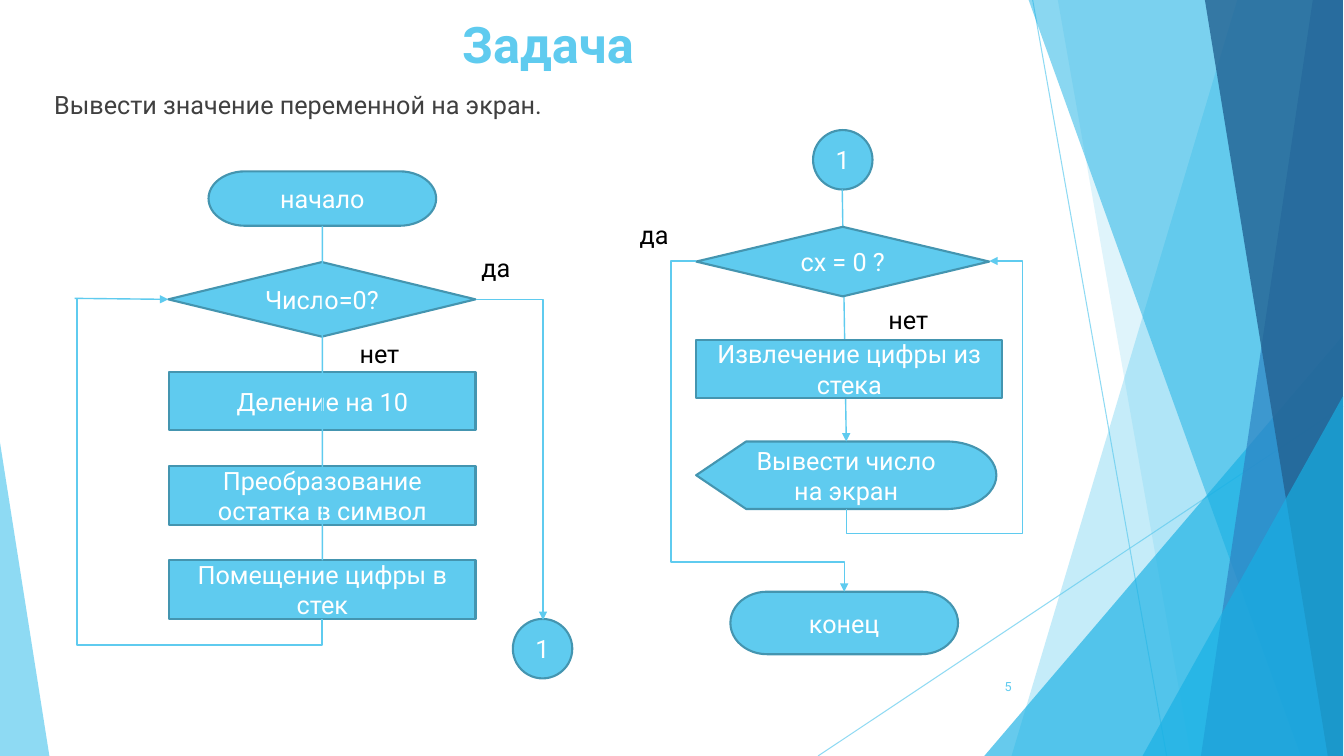
from typing import NamedTuple

from lxml.etree import SubElement
from pptx import Presentation
from pptx.dml.color import RGBColor
from pptx.enum.shapes import MSO_CONNECTOR as CONN, MSO_SHAPE as SHAPE
from pptx.enum.text import MSO_ANCHOR as ANCHOR, MSO_AUTO_SIZE as AUTO, PP_ALIGN as ALIGN
from pptx.oxml.ns import qn
from pptx.util import Inches, Pt

WIDTH, HEIGHT = 13.34, 7.5
EDGE = 13.33
SKY, AZURE, BLUE, NAVY = "5FCBEF", "17B0E4", "2E83C3", "236292"
OUTLINE, WHITE, BLACK, GREY = "4495B0", "FFFFFF", "000000", "404040"


class Band(NamedTuple):
    """Sloping band from its left edge to the right side of the slide."""
    top_x: float
    bottom_x: float
    color: str
    alpha: int


class Triangle(NamedTuple):
    box: tuple[float, float, float, float]
    apex: float
    color: str
    alpha: int


class Node(NamedTuple):
    kind: SHAPE
    box: tuple[float, float, float, float]
    text: str


class Label(NamedTuple):
    box: tuple[float, float, float, float]
    text: str


class Elbow(NamedTuple):
    """Bent connector; the box is its frame before rotation."""
    preset: str
    box: tuple[float, float, float, float]
    rot: int
    flips: str
    adjust: tuple[float, ...]
    arrow: bool


BACK_BANDS = [Band(12.28, 10.04, SKY, 36), Band(10.5, 11.82, SKY, 20)]
FRONT_BANDS = [Band(10.21, 12.91, AZURE, 50), Band(13.03, 11.92, BLUE, 70),
               Band(11.96, 13.18, NAVY, 80)]
MIDDLE_TRIANGLE = Triangle((9.77, 3.33, 3.56, 4.17), 1, AZURE, 66)
FRONT_TRIANGLES = [Triangle((11.34, 3.93, 1.99, 3.57), 1, AZURE, 66),
                   Triangle((0, 4.39, 0.49, 3.11), 0, SKY, 70)]

STEPS = ["Деление на 10", "Преобразование остатка в символ", "Помещение цифры в стек"]
START = Node(SHAPE.FLOWCHART_TERMINATOR, (2.07, 1.7, 2.26, 0.54), "начало")
IS_ZERO = Node(SHAPE.FLOWCHART_DECISION, (1.67, 2.6, 3.05, 0.74), "Число=0?")
LEFT_JUMP = Node(SHAPE.FLOWCHART_CONNECTOR, (5.09, 6.14, 0.59, 0.59), "1")
RIGHT_JUMP = Node(SHAPE.FLOWCHART_CONNECTOR, (8.07, 1.29, 0.59, 0.59), "1")
PRINT = Node(SHAPE.FLOWCHART_DISPLAY, (6.91, 4.38, 2.98, 0.67), "Вывести число на экран")
RIGHT_NODES = [
    Node(SHAPE.FLOWCHART_PROCESS, (6.91, 3.37, 3.04, 0.58), "Извлечение цифры из стека"),
    Node(SHAPE.FLOWCHART_DECISION, (6.91, 2.25, 2.91, 0.69), "cx = 0 ?"),
    Node(SHAPE.FLOWCHART_TERMINATOR, (7.25, 5.87, 2.26, 0.62), "конец"),
]
LABELS = [Label((3.47, 3.31, 0.91, 0.4), "нет"), Label((4.68, 2.45, 0.91, 0.4), "да"),
          Label((8.72, 2.97, 1.23, 0.4), "нет"), Label((6.25, 2.13, 0.71, 0.4), "да")]
ELBOWS = [
    Elbow("bentConnector3", (0.39, 3.34, 3.18, 2.43), 270, "V", (-0.08,), False),
    Elbow("bentConnector2", (4.72, 2.97, 0.67, 3.18), 0, "", (), True),
    Elbow("bentConnector4", (7.88, 3.11, 2.46, 1.42), 90, "HV", (-0.1, 1.23), True),
    Elbow("bentConnector4", (6.91, 2.59, 1.47, 3.28), 180, "HV", (-0.17, 0.91), True),
]


def paint(fmt, color: str, alpha: int = 100) -> None:
    """Apply a solid colour to a fill."""
    fmt.solid()
    fmt.fore_color.rgb = RGBColor.from_string(color)
    if alpha < 100:
        clr = fmt._xPr.find(qn("a:solidFill"))[0]
        SubElement(clr, qn("a:alpha"), val=str(alpha * 1000))


def write(shape, text: str, color: str, size: float = 18, align=ALIGN.LEFT,
          anchor=ANCHOR.TOP, bold: bool = False) -> None:
    tf = shape.text_frame
    frame = {"word_wrap": True, "auto_size": AUTO.NONE, "vertical_anchor": anchor,
             "margin_left": Inches(0.1), "margin_right": Inches(0.1),
             "margin_top": Inches(0.05), "margin_bottom": Inches(0.05)}
    for name, value in frame.items():
        setattr(tf, name, value)
    p = tf.paragraphs[0]
    p.alignment = align
    r = p.add_run()
    r.text = text
    for name, value in {"name": "Roboto", "size": Pt(size), "bold": bold}.items():
        setattr(r.font, name, value)
    r.font.color.rgb = RGBColor.from_string(color)


def add_text(s, box, text: str, color: str, **style):
    write(s.shapes.add_textbox(*map(Inches, box)), text, color, **style)


def add_band(s, band: Band) -> None:
    fb = s.shapes.build_freeform(Inches(band.top_x), 0)
    corners = [(EDGE, 0), (EDGE, HEIGHT), (band.bottom_x, HEIGHT)]
    fb.add_line_segments([(Inches(x), Inches(y)) for x, y in corners], close=True)
    sp = fb.convert_to_shape()
    sp.shadow.inherit = False
    paint(sp.fill, band.color, band.alpha)
    sp.line.fill.background()


def add_triangle(s, tri: Triangle) -> None:
    sp = s.shapes.add_shape(SHAPE.ISOSCELES_TRIANGLE, *map(Inches, tri.box))
    sp.adjustments[0] = tri.apex
    sp.shadow.inherit = False
    paint(sp.fill, tri.color, tri.alpha)
    sp.line.fill.background()


def add_node(s, node: Node):
    sp = s.shapes.add_shape(node.kind, *map(Inches, node.box))
    sp.shadow.inherit = False
    paint(sp.fill, SKY)
    paint(sp.line.fill, OUTLINE)
    sp.line.width = Pt(1.5)
    write(sp, node.text, WHITE, align=ALIGN.CENTER, anchor=ANCHOR.MIDDLE)
    return sp


def add_line(s, start, end, kind=CONN.STRAIGHT, width: float = 1, alpha: int = 100,
             arrow: bool = False):
    cx = s.shapes.add_connector(kind, *map(Inches, (*start, *end)))
    paint(cx.line.fill, SKY, alpha)
    cx.line.width = Pt(width)
    if arrow:
        SubElement(cx.line._get_or_add_ln(), qn("a:tailEnd"), type="triangle")
    SubElement(cx._element.spPr, qn("a:effectLst"))
    return cx


def add_elbow(s, elbow: Elbow) -> None:
    x, y, w, h = elbow.box
    cx = add_line(s, (x, y), (x + w, y + h), CONN.ELBOW, arrow=elbow.arrow)
    xfrm = cx._element.spPr.find(qn("a:xfrm"))
    xfrm.set("rot", str(elbow.rot * 60000))
    for axis in elbow.flips:
        xfrm.set(f"flip{axis}", "1")
    geom = cx._element.spPr.find(qn("a:prstGeom"))
    geom.set("prst", elbow.preset)
    guides = geom.find(qn("a:avLst"))
    for i, value in enumerate(elbow.adjust, 1):
        SubElement(guides, qn("a:gd"), name=f"adj{i}" if len(elbow.adjust) > 1 else "adj1",
                   fmla=f"val {round(value * 100000)}")


def add_backdrop(s) -> None:
    for start, end in [((10.25, 0), (11.58, HEIGHT)), ((EDGE, 4.03), (8.12, HEIGHT))]:
        add_line(s, start, end, width=0.75, alpha=70)
    for band in BACK_BANDS:
        add_band(s, band)
    add_triangle(s, MIDDLE_TRIANGLE)
    for band in FRONT_BANDS:
        add_band(s, band)
    for tri in FRONT_TRIANGLES:
        add_triangle(s, tri)


def add_flowcharts(s) -> None:
    start, is_zero = add_node(s, START), add_node(s, IS_ZERO)
    for i, text in enumerate(STEPS):
        box = (1.68, 3.69 + i * 0.935, 3.04, 0.58)
        last_step = add_node(s, Node(SHAPE.FLOWCHART_PROCESS, box, text))
    add_node(s, LEFT_JUMP)
    trunk = add_line(s, (3.2, 2.24), (3.2, 5.56))
    trunk.begin_connect(start, 2)
    trunk.end_connect(last_step, 0)
    add_line(s, (0.74, 2.96), (1.67, 2.97), arrow=True).end_connect(is_zero, 1)

    add_node(s, RIGHT_JUMP)
    display = add_node(s, PRINT)
    add_line(s, (8.36, 1.88), (8.4, 4.38), arrow=True).end_connect(display, 0)
    for node in RIGHT_NODES:
        add_node(s, node)
    for label in LABELS:
        add_text(s, label.box, label.text, BLACK)
    for elbow in ELBOWS:
        add_elbow(s, elbow)


def main() -> None:
    prs = Presentation()
    prs.slide_width, prs.slide_height = Inches(WIDTH), Inches(HEIGHT)
    s = prs.slides.add_slide(prs.slide_layouts[5])
    add_backdrop(s)
    title = s.shapes.title
    for name, value in zip(("left", "top", "width", "height"), (0.74, 0.04, 9.4, 0.83)):
        setattr(title, name, Inches(value))
    write(title, "Задача", SKY, size=36, align=ALIGN.CENTER, bold=True)
    title.text_frame.margin_top = Inches(0.09)
    add_text(s, (0.44, 0.84, 10.74, 0.8), "Вывести значение переменной на экран.", GREY)
    add_text(s, (9.39, 6.61, 0.75, 0.4), "5", SKY, size=9, align=ALIGN.RIGHT,
             anchor=ANCHOR.MIDDLE)
    add_flowcharts(s)
    prs.save("out.pptx")


if __name__ == "__main__":
    main()
